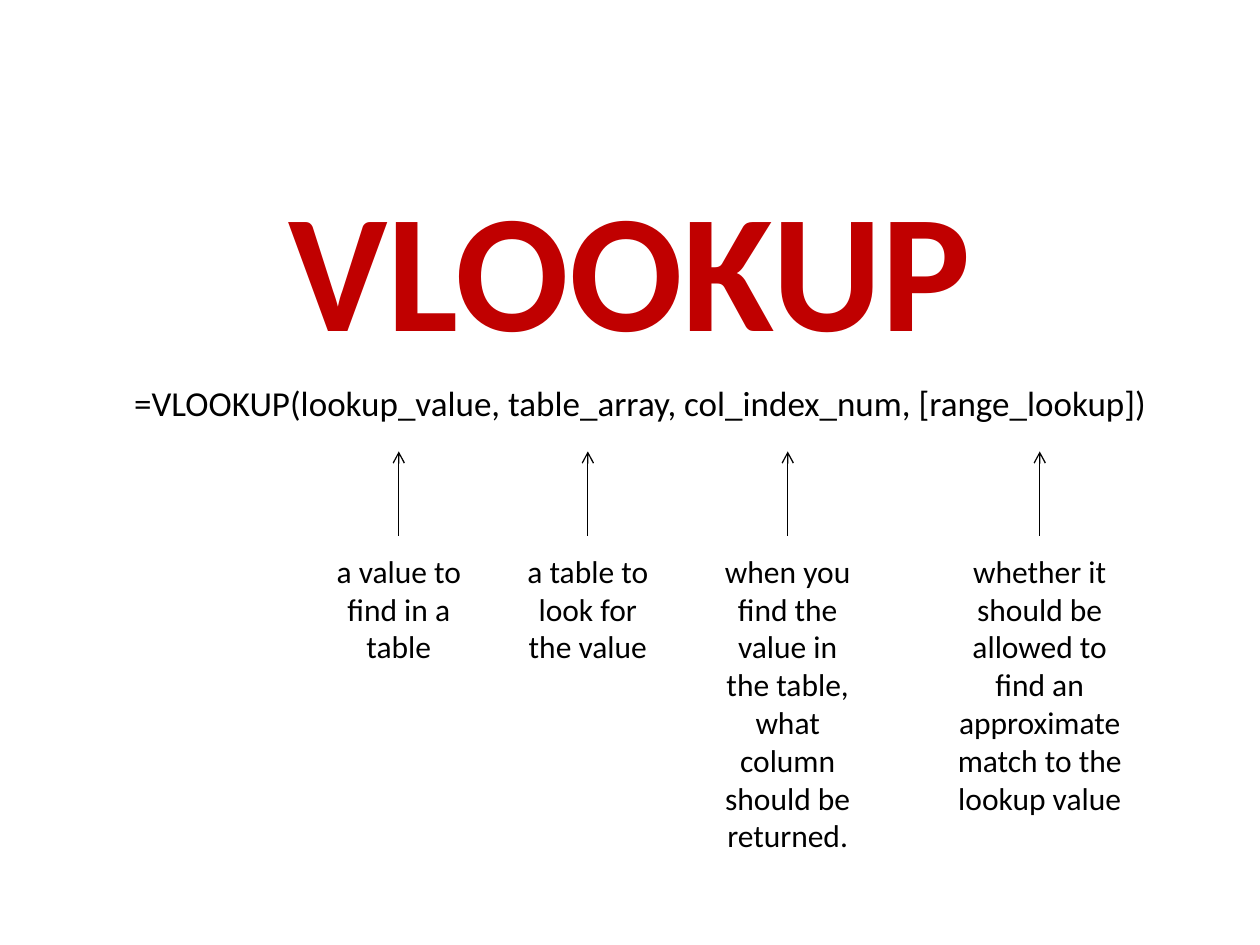
from lxml import etree
from pptx import Presentation
from pptx.dml.color import RGBColor
from pptx.enum.shapes import MSO_CONNECTOR
from pptx.enum.text import MSO_AUTO_SIZE, PP_ALIGN
from pptx.oxml.ns import qn
from pptx.util import Cm, Pt

STRAIGHT = MSO_CONNECTOR.STRAIGHT
CENTER = PP_ALIGN.CENTER
GROW = MSO_AUTO_SIZE.SHAPE_TO_FIT_TEXT
COLORS = {"title": "C00000", "ink": "000000"}

prs = Presentation()
prs.slide_width, prs.slide_height = Cm(25.4), Cm(19.05)
slide = prs.slides.add_slide(prs.slide_layouts[6])


def add_text(text, left, top, width, height, size, color="ink", bold=False, wrap=True):
    box = slide.shapes.add_textbox(Cm(left), Cm(top), Cm(width), Cm(height))
    frame = box.text_frame
    frame.word_wrap = wrap
    frame.auto_size = GROW
    paragraph = frame.paragraphs[0]
    paragraph.text = text
    paragraph.alignment = CENTER
    paragraph.font.name = "Calibri"
    paragraph.font.size = Pt(size)
    paragraph.font.bold = bold
    paragraph.font.color.rgb = RGBColor.from_string(COLORS[color])


def add_arrow(x, start_y, end_y):
    arrow = slide.shapes.add_connector(STRAIGHT, Cm(x), Cm(start_y), Cm(x), Cm(end_y))
    arrow.line.width = Pt(0.75)
    arrow.line.color.rgb = RGBColor.from_string(COLORS["ink"])
    etree.SubElement(arrow.line._get_or_add_ln(), qn("a:tailEnd"), type="arrow")
    etree.SubElement(arrow._element.spPr, qn("a:effectLst"))


# Function name and syntax
add_text("VLOOKUP", 5.49, 3.18, 14.42, 4.36, 96, "title", bold=True, wrap=False)
add_text("=VLOOKUP(lookup_value, table_array, col_index_num, [range_lookup])",
         1.48, 7.57, 22.86, 1.11, 20)

# Explanation under each argument: centre, width, height, wording
explanations = [
    (8.04, 3.39, 2.56, "a value to find in a table"),
    (11.85, 3.39, 2.56, "a table to look for the value"),
    (15.88, 3.39, 6.41,
     "when you find the value in the table, what column should be returned."),
    (20.96, 3.81, 6.41,
     "whether it should be allowed to find an approximate match to the lookup value"),
]
for center, width, height, wording in explanations:
    add_arrow(center, 10.8, 9.1)
    add_text(wording, center - width / 2, 11, width, height, 18)

prs.save("out.pptx")
